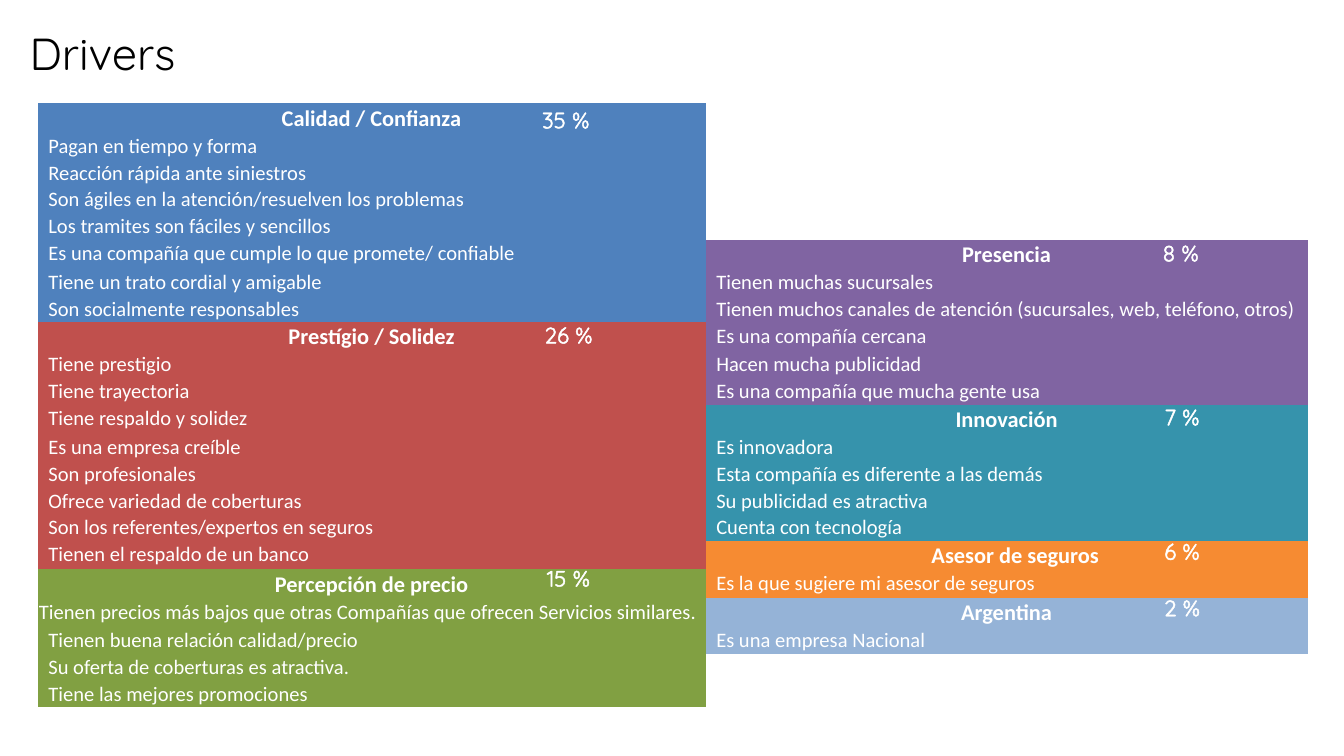
from collections import namedtuple

from lxml import etree
from pptx import Presentation
from pptx.dml.color import RGBColor
from pptx.enum.text import MSO_ANCHOR, MSO_AUTO_SIZE, PP_ALIGN
from pptx.oxml.ns import qn
from pptx.util import Inches, Pt

LEFT, CENTER = PP_ALIGN.LEFT, PP_ALIGN.CENTER
TOP, MIDDLE = MSO_ANCHOR.TOP, MSO_ANCHOR.MIDDLE
FIT_SHAPE = MSO_AUTO_SIZE.SHAPE_TO_FIT_TEXT

BLACK = RGBColor(0x00, 0x00, 0x00)
WHITE = RGBColor(0xFF, 0xFF, 0xFF)
BLUE = RGBColor(0x4F, 0x81, 0xBD)
RED = RGBColor(0xC0, 0x50, 0x4D)
GREEN = RGBColor(0x81, 0xA0, 0x42)
PURPLE = RGBColor(0x80, 0x64, 0xA2)
TEAL = RGBColor(0x36, 0x93, 0xAC)
ORANGE = RGBColor(0xF6, 0x8B, 0x32)
LIGHT_BLUE = RGBColor(0x95, 0xB3, 0xD7)

HEADING_FONT = "Quicksand"
BODY_FONT = "Calibri"
NO_GRID_STYLE = "{2D5ABB26-0587-4C30-8999-92F81FD0307C}"

ROW_COUNT = 22
ROW_HEIGHT = 0.2
COLUMN_WIDTHS = (4.97, 4.48)
FIRST_ROWS = (0, 5)
SHARE_WIDTHS = (0.56, 0.47)
CELL_MARGIN = 0.01
ITEM_INDENT = 0.08
WIDE_ITEM = ("Tienen precios más bajos que otras Compañías que ofrecen "
             "Servicios similares.")
ADVISER = "Asesor de seguros"
ADVISER_INDENT = 0.14

# share_left and share_top place the percentage label, in inches
Driver = namedtuple("Driver", "name color share share_left share_top items")

LEFT_DRIVERS = [
    Driver("Calidad / Confianza", BLUE, "35 %", 3.93, 0.74, [
        "Pagan en tiempo y forma",
        "Reacción rápida ante siniestros",
        "Son ágiles en la atención/resuelven los problemas",
        "Los tramites son fáciles y sencillos",
        "Es una compañía que cumple lo que promete/ confiable",
        "Tiene un trato cordial y amigable",
        "Son socialmente responsables",
    ]),
    Driver("Prestígio / Solidez", RED, "26 %", 3.95, 2.34, [
        "Tiene prestigio",
        "Tiene trayectoria",
        "Tiene respaldo y solidez",
        "Es una empresa creíble",
        "Son profesionales",
        "Ofrece variedad de coberturas",
        "Son los referentes/expertos en seguros",
        "Tienen el respaldo de un banco",
    ]),
    Driver("Percepción de precio", GREEN, "15 %", 3.95, 4.15, [
        WIDE_ITEM,
        "Tienen buena relación calidad/precio",
        "Su oferta de coberturas es atractiva.",
        "Tiene las mejores promociones",
    ]),
]
RIGHT_DRIVERS = [
    Driver("Presencia", PURPLE, "8 %", 8.55, 1.73, [
        "Tienen muchas sucursales",
        "Tienen muchos canales de atención (sucursales, web, teléfono, otros)",
        "Es una compañía cercana",
        "Hacen mucha publicidad",
        "Es una compañía que mucha gente usa",
    ]),
    Driver("Innovación", TEAL, "7 %", 8.56, 2.95, [
        "Es innovadora",
        "Esta compañía es diferente a las demás",
        "Su publicidad es atractiva",
        "Cuenta con tecnología",
    ]),
    Driver(ADVISER, ORANGE, "6 %", 8.56, 3.95, [
        "Es la que sugiere mi asesor de seguros",
    ]),
    Driver("Argentina", LIGHT_BLUE, "2 %", 8.56, 4.37, [
        "Es una empresa Nacional",
    ]),
]
DRIVER_COLUMNS = (LEFT_DRIVERS, RIGHT_DRIVERS)


def write_text(text_frame, text, *, size, font=BODY_FONT, color=WHITE,
               bold=False, align=LEFT):
    paragraph = text_frame.paragraphs[0]
    paragraph.alignment = align
    run = paragraph.add_run()
    run.text = text
    run.font.name = font
    run.font.size = Pt(size)
    run.font.bold = bold
    run.font.color.rgb = color
    return run


def outline_text(run, color, width):
    line = etree.Element(qn("a:ln"), w=str(Pt(width)))
    fill = etree.SubElement(line, qn("a:solidFill"))
    etree.SubElement(fill, qn("a:srgbClr"), val=str(color))
    run.font._element.insert(0, line)


def add_title(slide, text):
    title = slide.shapes.title
    title.left, title.top = Inches(0.12), Inches(0.14)
    title.width, title.height = Inches(9.88), Inches(0.71)
    title.text_frame.vertical_anchor = TOP
    write_text(title.text_frame, text, size=24, font=HEADING_FONT, color=BLACK)


def add_table(slide):
    """Add the table with every cell empty, unfilled and low enough for its row."""
    table = slide.shapes.add_table(
        ROW_COUNT, len(COLUMN_WIDTHS), Inches(0.28), Inches(0.77),
        Inches(sum(COLUMN_WIDTHS)), Inches(ROW_COUNT * ROW_HEIGHT)).table
    table.first_row = table.horz_banding = False
    table._tbl.tblPr.find(qn("a:tableStyleId")).text = NO_GRID_STYLE
    for column, width in zip(table.columns, COLUMN_WIDTHS):
        column.width = Inches(width)
    for row in table.rows:
        row.height = Inches(ROW_HEIGHT)
        for cell in row.cells:
            cell.margin_left = cell.margin_right = Inches(CELL_MARGIN)
            cell.margin_top, cell.margin_bottom = Inches(CELL_MARGIN), 0
            cell.fill.background()
            paragraph = cell.text_frame.paragraphs[0]
            etree.SubElement(paragraph._p, qn("a:endParaRPr"), sz="1100")
    return table


def fill_cell(cell, text, color, *, anchor=TOP, indent=CELL_MARGIN, **text_format):
    cell.fill.solid()
    cell.fill.fore_color.rgb = color
    cell.vertical_anchor = anchor
    cell.margin_left = Inches(indent)
    write_text(cell.text_frame, text, **text_format)


def fill_driver(table, driver, first_row, column):
    indent = ADVISER_INDENT if driver.name == ADVISER else CELL_MARGIN
    fill_cell(table.cell(first_row, column), driver.name, driver.color,
              anchor=MIDDLE, indent=indent, size=12, bold=True, align=CENTER)
    for row, item in enumerate(driver.items, first_row + 1):
        indent = CELL_MARGIN if item == WIDE_ITEM else ITEM_INDENT
        fill_cell(table.cell(row, column), item, driver.color,
                  indent=indent, size=11)


def add_share(slide, driver, width):
    label = slide.shapes.add_textbox(
        Inches(driver.share_left), Inches(driver.share_top),
        Inches(width), Inches(0.3))
    label.text_frame.word_wrap = False
    label.text_frame.auto_size = FIT_SHAPE
    run = write_text(label.text_frame, driver.share, size=12,
                     font=HEADING_FONT, align=CENTER)
    outline_text(run, WHITE, 1.45)


def main():
    presentation = Presentation()
    presentation.slide_width = Inches(10)
    presentation.slide_height = presentation.slide_width * 9 // 16
    slide = presentation.slides.add_slide(presentation.slide_layouts[5])
    add_title(slide, "Drivers")
    table = add_table(slide)
    for column, drivers in enumerate(DRIVER_COLUMNS):
        row = FIRST_ROWS[column]
        for driver in drivers:
            fill_driver(table, driver, row, column)
            add_share(slide, driver, SHARE_WIDTHS[column])
            row += 1 + len(driver.items)
    presentation.save("out.pptx")


if __name__ == "__main__":
    main()
